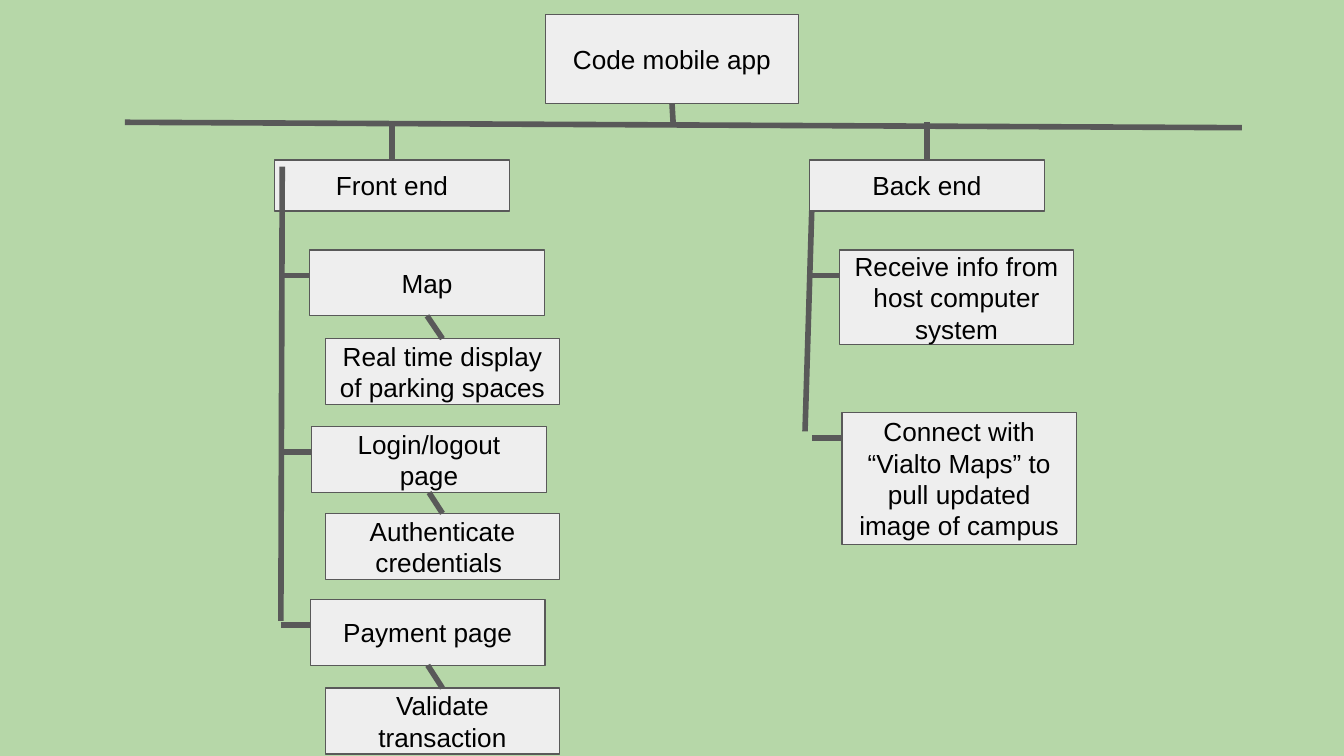
from lxml import etree
from pptx import Presentation
from pptx.dml.color import RGBColor
from pptx.enum.shapes import MSO_CONNECTOR as Connector, MSO_SHAPE as Shape
from pptx.enum.text import MSO_ANCHOR as Anchor, PP_ALIGN as Align
from pptx.oxml.ns import qn
from pptx.util import Inches, Pt

COLUMNS, ROWS = 100, 56.25  # grid of 0.1 inch cells on a 16:9 slide
TOP, BOTTOM = 0, 2  # connection sites of a rectangle


def color(value):
    return RGBColor.from_string(value)


class Chart:
    """Style and current slide of the work breakdown chart."""

    background, fill, stroke, ink = "B6D7A8", "EEEEEE", "595959", "000000"
    frame = dict(margin_left=Inches(0.1), margin_right=Inches(0.1),
                 margin_top=Inches(0.1), margin_bottom=Inches(0.1),
                 vertical_anchor=Anchor.MIDDLE, word_wrap=True)
    font = dict(name="Arial", size=Pt(14))
    box_width = 17.45

    def __init__(self, deck):
        self.cell_width = deck.slide_width / COLUMNS
        self.cell_height = deck.slide_height / ROWS
        self.slide = deck.slides.add_slide(deck.slide_layouts[6])
        backdrop = self.slide.background.fill
        backdrop.solid()
        backdrop.fore_color.rgb = color(self.background)

    def place(self, column, row):
        return round(column * self.cell_width), round(row * self.cell_height)

    def box(self, text, column, row, height, width=box_width):
        box = self.slide.shapes.add_shape(
            Shape.RECTANGLE, *self.place(column, row), *self.place(width, height))
        box.shadow.inherit = False
        box.fill.solid()
        box.fill.fore_color.rgb = color(self.fill)
        box.line.color.rgb = color(self.stroke)
        box.line.width = Pt(0.75)
        for name, value in self.frame.items():
            setattr(box.text_frame, name, value)
        para = box.text_frame.paragraphs[0]
        para.alignment = Align.CENTER
        span = para.add_run()
        span.text = text
        for name, value in self.font.items():
            setattr(span.font, name, value)
        span.font.color.rgb = color(self.ink)
        return box

    def line(self, start, end, begin_at=None, end_at=None):
        line = self.slide.shapes.add_connector(
            Connector.STRAIGHT, *self.place(*start), *self.place(*end))
        line.line.color.rgb = color(self.stroke)
        line.line.width = Pt(3)
        etree.SubElement(line._element.spPr, qn("a:effectLst"))
        if begin_at:
            line.begin_connect(*begin_at)
        if end_at:
            line.end_connect(*end_at)

    def task(self, text, column, row, height):
        """A box with the short branch that ties it to the trunk."""
        self.line((column - 2.2, row + 1.9), (column + 0.4, row + 1.9))
        return self.box(text, column, row, height)

    def detail(self, text, parent, row):
        """A box hung below its parent task."""
        box = self.box(text, 24.2, row, 4.9)
        self.line((31.8, row - 1.7), (33, row), (parent, BOTTOM), (box, TOP))


def main():
    deck = Presentation()
    deck.slide_width = Inches(10)
    deck.slide_height = deck.slide_width * 9 // 16
    chart = Chart(deck)

    # Root and the crossbar below it
    root = chart.box("Code mobile app", 40.6, 1.1, 6.6, width=18.8)
    chart.line((50.1, 9.4), (50, 7.7), end_at=(root, BOTTOM))
    chart.line((9.3, 9.1), (92.4, 9.5))

    # Two branches with their trunks
    for text, column, trunk in (
            ("Front end", 20.45, ((20.9, 46.2), (21, 12.4))),
            ("Back end", 60.25, ((59.9, 32.1), (60.4, 15.7)))):
        branch = chart.box(text, column, 11.9, 3.8)
        middle = column + chart.box_width / 2
        chart.line((middle, 9.1), (middle, 11.9), end_at=(branch, TOP))
        chart.line(*trunk)

    # Front end tasks, each with one detail
    for index, (text, column, row, detail) in enumerate((
            ("Map", 23.05, 18.6, "Real time display of parking spaces"),
            ("Login/logout page", 23.2, 31.75, "Authenticate credentials "),
            ("Payment page", 23.1, 44.6, "Validate transaction"))):
        parent = chart.task(text, column, row, 4.9)
        chart.detail(detail, parent, 25.2 + 13 * index)

    # Back end tasks
    chart.task("Receive info from host computer system", 62.45, 18.6, 7.05)
    chart.task("Connect with “Vialto Maps” to pull updated image of campus",
               62.65, 30.7, 9.8)

    deck.save("out.pptx")


if __name__ == "__main__":
    main()
